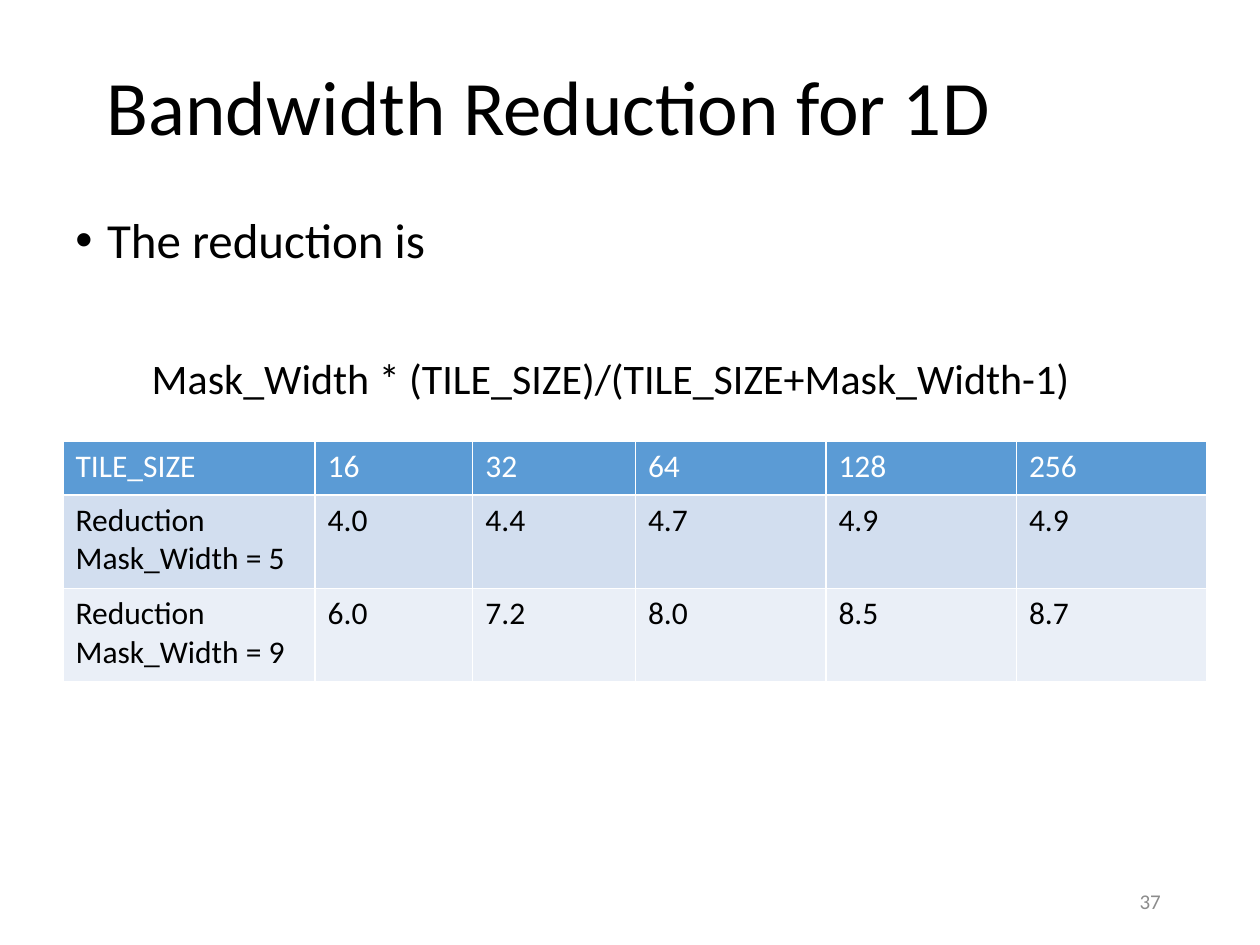
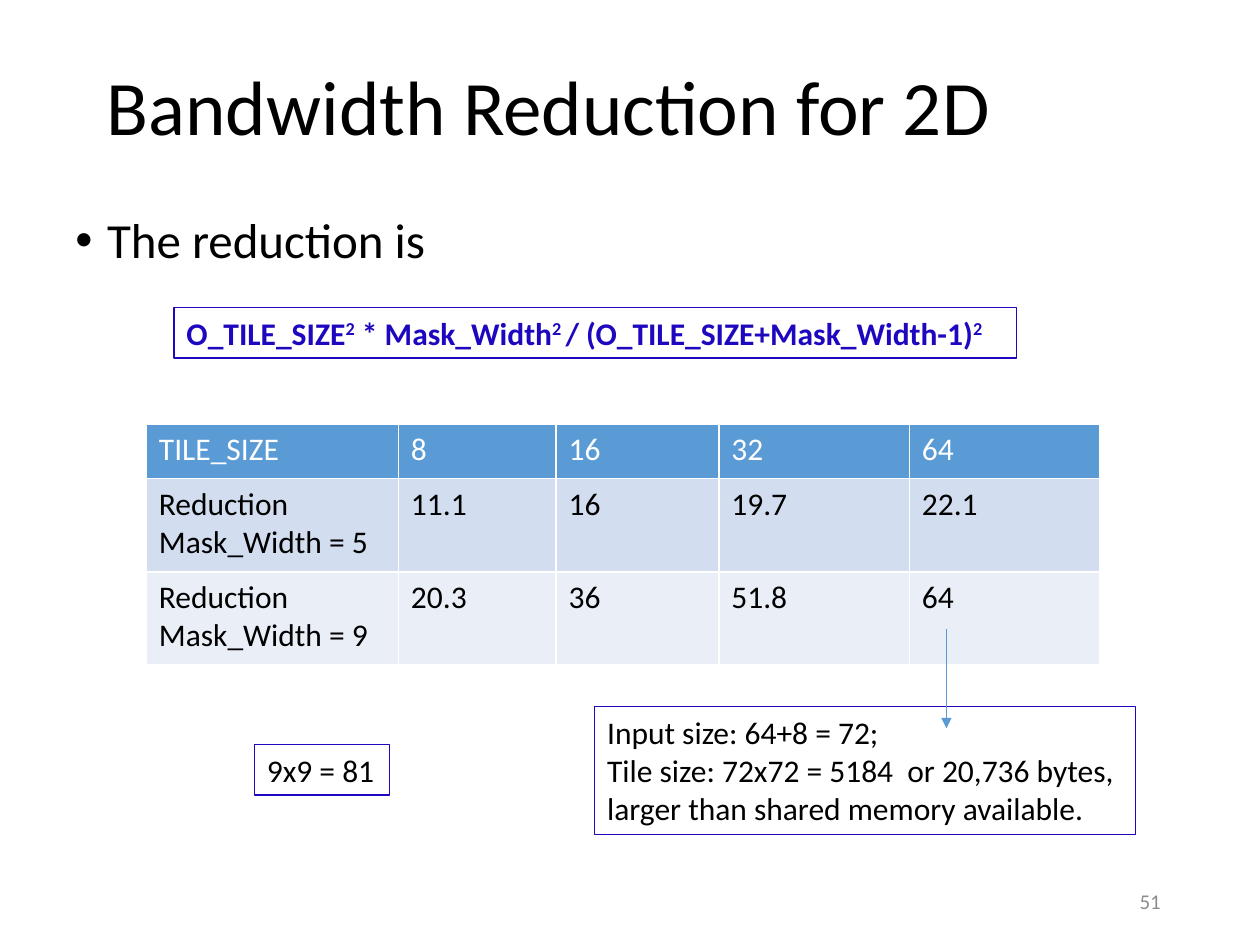
from lxml import etree
from pptx import Presentation
from pptx.dml.color import RGBColor
from pptx.enum.shapes import MSO_CONNECTOR
from pptx.enum.text import MSO_ANCHOR, PP_ALIGN
from pptx.oxml.ns import qn
from pptx.util import Cm, Pt

STRAIGHT = MSO_CONNECTOR.STRAIGHT
MIDDLE = MSO_ANCHOR.MIDDLE
LEFT, RIGHT = PP_ALIGN.LEFT, PP_ALIGN.RIGHT

FONT = "Calibri"
COLORS = {
    "text": "000000",
    "white": "FFFFFF",
    "accent": "5B9BD5",
    "band_dark": "D2DEEF",
    "band_light": "EAEFF7",
    "outline": "1D07BF",
    "number": "8C8C8C",
}
ROW_FILLS = ["accent", "band_dark", "band_light"]
COLUMN_WIDTHS = [5.08, 3.18, 3.28, 3.84, 3.84, 3.84]
ROW_HEIGHTS = [1.09, 1.88, 1.88]
ROW_LABELS = ["TILE_SIZE", "Reduction\nMask_Width = 5", "Reduction\nMask_Width = 9"]

SLIDES = [
    {
        "title": "Bandwidth Reduction for 1D",
        "number": "37",
        "body_size": (23.06, 6.15),
        "table_at": (1.27, 8.89),
        "values": [
            ["16", "32", "64", "128", "256"],
            ["4.0", "4.4", "4.7", "4.9", "4.9"],
            ["6.0", "7.2", "8.0", "8.5", "8.7"],
        ],
    },
    {
        "title": "Bandwidth Reduction for 2D",
        "number": "51",
        "body_size": (21.44, 2.39),
        "table_at": (2.95, 8.56),
        "values": [
            ["8", "16", "32", "64"],
            ["11.1", "16", "19.7", "22.1"],
            ["20.3", "36", "51.8", "64"],
        ],
    },
]


def style_paragraph(paragraph, size, color="text", bold=False):
    font = paragraph.font
    font.name = FONT
    font.size = Pt(size)
    font.bold = bold
    font.color.rgb = RGBColor.from_string(COLORS[color])


def add_text(slide, box, text, size, color="text", bold=False, outlined=False):
    shape = slide.shapes.add_textbox(*(Cm(length) for length in box))
    frame = shape.text_frame
    frame.word_wrap = True
    frame.text = text
    for paragraph in frame.paragraphs:
        style_paragraph(paragraph, size, color, bold)
    if outlined:
        shape.line.color.rgb = RGBColor.from_string(COLORS["outline"])
        shape.line.width = Pt(0.75)
    return frame


presentation = Presentation()
presentation.slide_width = Cm(25.4)
presentation.slide_height = Cm(19.05)
title_only = presentation.slide_layouts[5]
slides = []
bodies = []

for content in SLIDES:
    slide = presentation.slides.add_slide(title_only)
    slides.append(slide)

    title = slide.shapes.title
    title.left, title.top, title.width, title.height = Cm(1.9), Cm(0.64), Cm(23.06), Cm(3.18)
    title.text_frame.text = content["title"]
    title.text_frame.vertical_anchor = MIDDLE
    heading = title.text_frame.paragraphs[0]
    heading.alignment = LEFT
    heading.line_spacing = 0.9
    style_paragraph(heading, 44)

    body = add_text(slide, (1.27, 4.24, *content["body_size"]), "The reduction is", 28)
    bodies.append(body)
    bullet_paragraph = body.paragraphs[0]
    bullet_paragraph.line_spacing = 0.9
    bullet_paragraph.space_before = Pt(10)
    properties = bullet_paragraph._p.get_or_add_pPr()
    properties.set("marL", str(Cm(0.64)))
    properties.set("indent", str(-Cm(0.64)))
    bullet_font = etree.Element(qn("a:buFont"), typeface="Arial")
    bullet = etree.Element(qn("a:buChar"), char="•")
    properties.find(qn("a:spcBef")).addnext(bullet_font)
    bullet_font.addnext(bullet)

    rows = [[label, *values] for label, values in zip(ROW_LABELS, content["values"])]
    widths = COLUMN_WIDTHS[:len(rows[0])]
    left, top = content["table_at"]
    table = slide.shapes.add_table(
        len(rows), len(widths), Cm(left), Cm(top), Cm(sum(widths)), Cm(sum(ROW_HEIGHTS))
    ).table
    for column, width in zip(table.columns, widths):
        column.width = Cm(width)
    for row_index, values in enumerate(rows):
        table.rows[row_index].height = Cm(ROW_HEIGHTS[row_index])
        for column_index, value in enumerate(values):
            cell = table.cell(row_index, column_index)
            cell.text = value
            cell.fill.solid()
            cell.fill.fore_color.rgb = RGBColor.from_string(COLORS[ROW_FILLS[row_index]])
            for paragraph in cell.text_frame.paragraphs:
                style_paragraph(paragraph, 18, "white" if row_index == 0 else "text")

    number = add_text(slide, (17.93, 17.65, 5.72, 1.02), content["number"], 12, "number")
    number.vertical_anchor = MIDDLE
    number.paragraphs[0].alignment = RIGHT

formula = bodies[0].add_paragraph()
formula.text = "Mask_Width * (TILE_SIZE)/(TILE_SIZE+Mask_Width-1)"
formula.line_spacing = 0.9
formula.space_before = Pt(51)
formula._p.get_or_add_pPr().set("marL", str(Cm(1.54)))
style_paragraph(formula, 24)

slide = slides[1]
formula_frame = add_text(slide, (3.51, 6.2, 16.99, 1.02), "", 18, "outline", True, True)
formula_parts = ["O_TILE_SIZE", "2", " * Mask_Width", "2 ", "/ (O_TILE_SIZE+Mask_Width-1)", "2"]
for index, part in enumerate(formula_parts):
    run = formula_frame.paragraphs[0].add_run()
    run.text = part
    if index % 2:
        run._r.get_or_add_rPr().set("baseline", "30000")

add_text(
    slide,
    (11.99, 14.25, 10.9, 2.57),
    "Input size: 64+8 = 72;\n"
    "Tile size: 72x72 = 5184  or 20,736 bytes, larger than shared memory available.",
    18,
    outlined=True,
)

arrow = slide.shapes.add_connector(STRAIGHT, Cm(19.08), Cm(12.67), Cm(19.08), Cm(14.68))
arrow.line.color.rgb = RGBColor.from_string(COLORS["accent"])
arrow.line.width = Pt(0.5)
etree.SubElement(arrow.line._get_or_add_ln(), qn("a:tailEnd"), type="triangle")
etree.SubElement(arrow._element.spPr, qn("a:effectLst"))

add_text(slide, (5.13, 15.01, 2.72, 1.02), "9x9 = 81", 18, outlined=True)

presentation.save("out.pptx")
